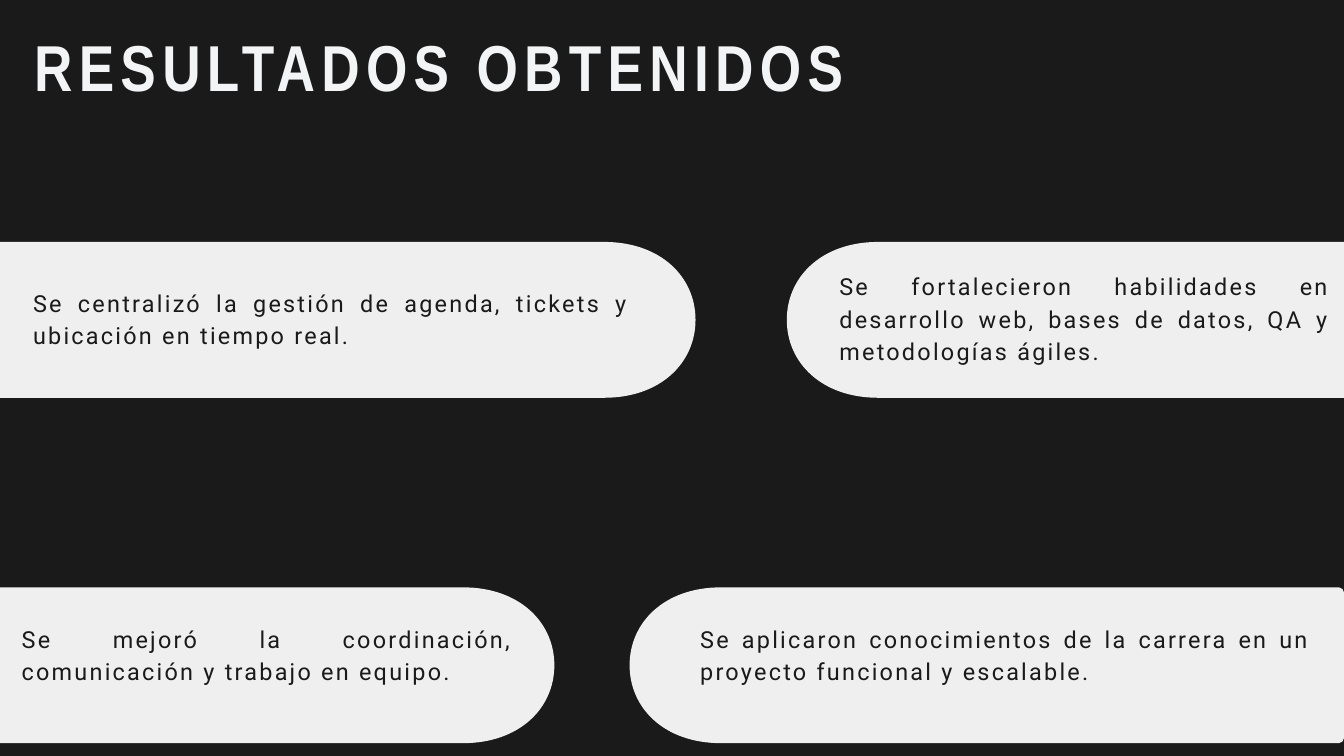
from lxml import etree
from pptx import Presentation
from pptx.dml.color import RGBColor
from pptx.enum import text
from pptx.oxml.ns import qn
from pptx.util import Pt

DARK = RGBColor(0x1A, 0x1A, 0x1A)
PALE = RGBColor(0xEF, 0xEF, 0xEF)
WHITE = RGBColor(0xF2, 0xF4, 0xF5)

PILL_H = 167
CAP_W = 98
CORNER = 5.4
TOP_ROW, BOTTOM_ROW = 259.2, 629.3

# pill left, top, width, flat end on the right; text offset x, y, width, height; wording
RESULTS = [
    (-96.5, TOP_ROW, 841.7, False, 131.9, 45.7, 639.4, 68.4,
     "Se centralizó la gestión de agenda, tickets y ubicación en tiempo real."),
    (843, TOP_ROW, 898.6, True, 56.3, 28.2, 526.3, 137.5,
     "Se fortalecieron habilidades en desarrollo web, bases de datos, QA y "
     "metodologías ágiles."),
    (-220, BOTTOM_ROW, 814, False, 243.2, 35.7, 526.3, 103,
     "Se mejoró la coordinación, comunicación y trabajo en equipo."),
    (674.6, BOTTOM_ROW, 765.4, True, 75.6, 35.7, 654.5, 137.5,
     "Se aplicaron conocimientos de la carrera en un proyecto funcional y escalable."),
]


def format_text(tf, wording, font, size, color, align, leading, tracking, bold=False):
    tf.margin_left = tf.margin_top = tf.margin_right = tf.margin_bottom = 0
    tf.word_wrap = True
    tf.auto_size = text.MSO_AUTO_SIZE.NONE
    tf.vertical_anchor = text.MSO_ANCHOR.TOP
    p = tf.paragraphs[0]
    p.text = wording
    p.alignment = align
    p.line_spacing = Pt(leading)
    p.space_before = Pt(0)
    f = p.font
    f.name, f.size, f.bold = font, Pt(size), bold
    f.color.rgb = color
    p._p.pPr.defRPr.set("spc", str(round(tracking * 100)))


def add_title(slide, x, y, w, h):
    sp = slide.shapes.title
    sp.left, sp.top, sp.width, sp.height = Pt(x), Pt(y), Pt(w), Pt(h)
    format_text(sp.text_frame, "RESULTADOS OBTENIDOS", "Arial Narrow", 69.5, WHITE,
                text.PP_ALIGN.CENTER, 95.9, 6.8, bold=True)


def bend_segments(sp, segments):
    """Turn each straight segment that has control points into a Bézier curve."""
    lines = list(sp._element.iter(qn("a:lnTo")))
    for line, segment in zip(lines, segments):
        if len(segment) == 3:
            bend = etree.SubElement(line.getparent(), qn("a:cubicBezTo"))
            for px, py in segment:
                etree.SubElement(bend, qn("a:pt"), x=str(Pt(px)), y=str(Pt(py)))
            line.getparent().replace(line, bend)


def add_pill(slide, x, y, w, h, flat_right):
    """A bar with one wide round cap and one nearly square end."""
    mid, neck, c = h / 2, w - CAP_W, CORNER
    reach, rise = neck + 0.62 * CAP_W, 0.45 * mid
    segments = [
        [(neck, 0)],
        [(reach, 0), (w, rise), (w, mid)],
        [(w, h - rise), (reach, h), (neck, h)],
        [(c, h)],
        [(c / 2, h), (0, h - c / 2), (0, h - c)],
        [(0, c)],
        [(0, c / 2), (c / 2, 0), (c, 0)],
    ]
    if flat_right:
        segments = [[(w - px, py) for px, py in segment] for segment in segments]
    ends = [(Pt(x + s[-1][0]), Pt(y + s[-1][1])) for s in segments]
    builder = slide.shapes.build_freeform(*ends[-1])
    builder.add_line_segments(ends, close=True)
    sp = builder.convert_to_shape()
    bend_segments(sp, segments)
    sp.shadow.inherit = False
    sp.fill.solid()
    sp.fill.fore_color.rgb = PALE
    sp.line.fill.background()


def add_result(slide, x, y, w, flat_right, dx, dy, text_w, text_h, wording):
    add_pill(slide, x, y, w, PILL_H, flat_right)
    box = slide.shapes.add_textbox(Pt(x + dx), Pt(y + dy), Pt(text_w), Pt(text_h))
    format_text(box.text_frame, wording, "Roboto", 25.1, DARK,
                text.PP_ALIGN.JUSTIFY, 34.6, 2.45)


def main():
    prs = Presentation()
    prs.slide_width, prs.slide_height = Pt(1440), Pt(810)
    slide = prs.slides.add_slide(prs.slide_layouts[5])
    slide.background.fill.solid()
    slide.background.fill.fore_color.rgb = DARK
    add_title(slide, -65.5, 15.8, 1072, 91.4)
    for result in RESULTS:
        add_result(slide, *result)
    prs.save("out.pptx")


if __name__ == "__main__":
    main()
